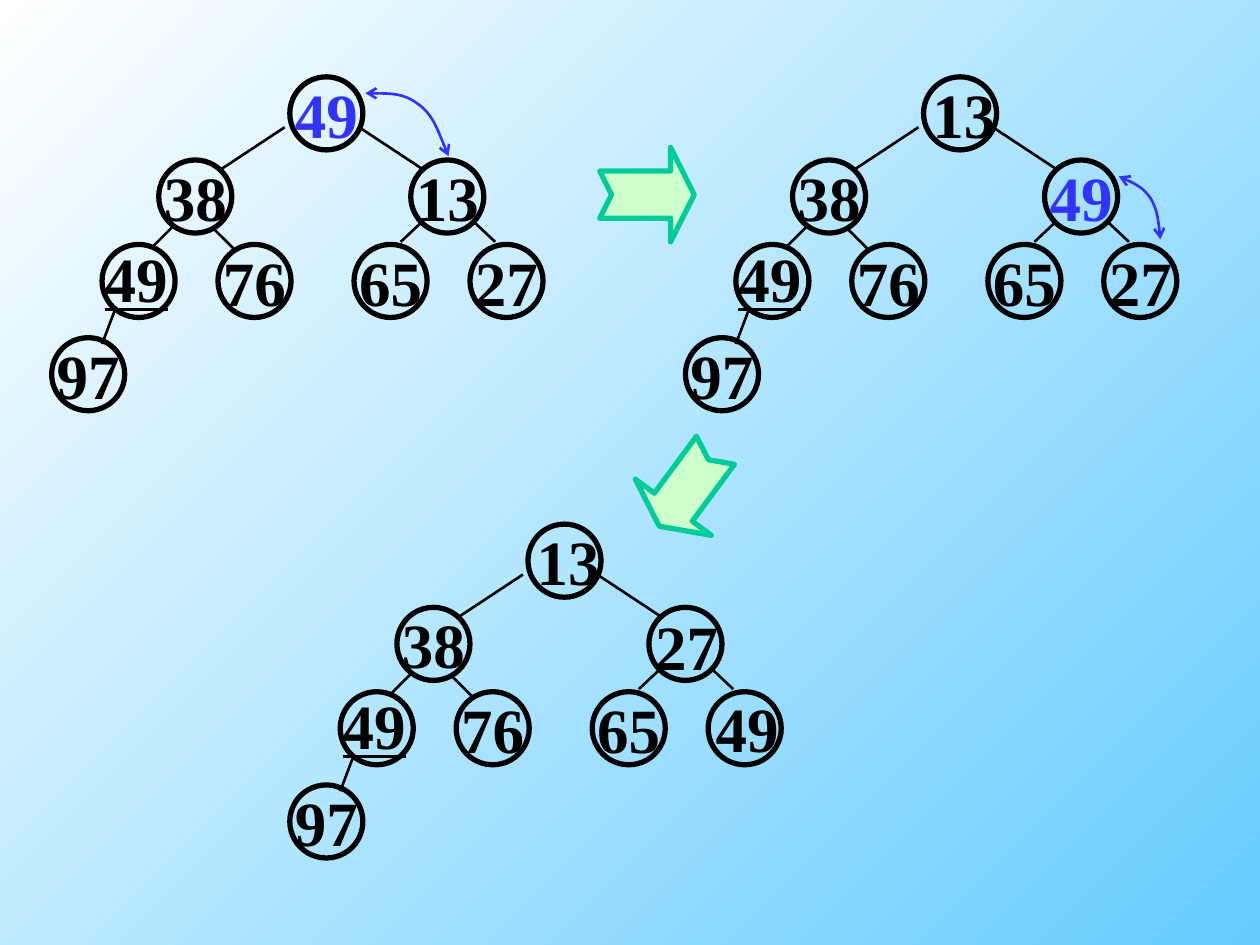
from lxml import etree
from pptx import Presentation
from pptx import util as u
from pptx.dml.color import RGBColor
from pptx.enum import shapes, text
from pptx.oxml.ns import qn

COLORS = {"ink": "000000", "swap": "3333FF", "sky": "66CCFF", "white": "FFFFFF",
          "mint": "CCFFCC", "green": "00CC99"}
FONT = "Times New Roman"

# The slide is a grid of 1000 columns by 750 rows
COLS, ROWS = 1000, 750
CELL = u.Inches(10) / COLS
NODE = 58          # circle diameter
LABEL = (50, 60)   # label box

# Heap nodes in level order, and the edges between them, from the tree's corner
NODES = [(189, 0), (85, 66), (285, 66), (40, 133), (132, 133), (240, 133), (332, 133), (0, 207)]
EDGES = [(185, 40, 135, 73), (244, 40, 294, 73), (127, 119, 144, 136), (335, 115, 352, 131),
         (96, 119, 79, 136), (294, 115, 277, 131), (51, 183, 40, 212)]
NUDGE = (4, -1)    # usual label offset from its circle


def grid(*cells):
    return [u.Emu(round(c * CELL)) for c in cells]


def rgb(name):
    return RGBColor.from_string(COLORS[name])


def set_line(sp, color, width):
    sp.line.color.rgb = rgb(color)
    sp.line.width = u.Pt(width)


def add_label(s, x, y, value, color, underline):
    tf = s.shapes.add_textbox(*grid(x, y, *LABEL)).text_frame
    tf.margin_left = tf.margin_right = tf.margin_top = tf.margin_bottom = 0
    tf.word_wrap = False
    tf.auto_size = text.MSO_AUTO_SIZE.SHAPE_TO_FIT_TEXT
    p = tf.paragraphs[0]
    p.alignment = text.PP_ALIGN.CENTER
    r = p.add_run()
    r.text = value
    r.font.name, r.font.size, r.font.bold = FONT, u.Pt(36), True
    r.font.underline = underline or None
    r.font.color.rgb = rgb(color)


def add_edge(s, x1, y1, x2, y2):
    line = s.shapes.add_connector(shapes.MSO_CONNECTOR.STRAIGHT, *grid(x1, y1, x2, y2))
    set_line(line, "ink", 1.5)
    etree.SubElement(line._element.spPr, qn("a:effectLst"))


def add_tree(s, left, top, values, moved=None, nudges=None):
    """Draw a heap; `moved` is the highlighted node, `nudges` holds unusual label offsets."""
    nudges = {3: (2, -4), **(nudges or {})}
    for i, ((dx, dy), value) in enumerate(zip(NODES, values)):
        x, y = left + dx, top + dy
        sp = s.shapes.add_shape(shapes.MSO_SHAPE.OVAL, *grid(x, y, NODE, NODE))
        sp.shadow.inherit = False
        sp.fill.background()
        set_line(sp, "ink", 3)
        nx, ny = nudges.get(i, NUDGE)
        add_label(s, x + nx, y + ny, value, "swap" if i == moved else "ink", i == 3)
    for x1, y1, x2, y2 in EDGES:
        add_edge(s, left + x1, top + y1, left + x2, top + y2)


def add_swap_curve(s, points):
    """Draw a double-headed curve: a start point, then three points per Bezier segment."""
    (x0, y0), end = points[0], points[-1]
    builder = s.shapes.build_freeform(x0, y0, scale=CELL)
    builder.add_line_segments([end], close=False)
    sp = builder.convert_to_shape()
    sp.shadow.inherit = False
    sp.fill.background()
    set_line(sp, "swap", 1.5)
    # Replace the straight segment by Bezier curves
    path = sp._element.find(".//" + qn("a:path"))
    path.remove(path.find(qn("a:lnTo")))
    for i in range(1, len(points), 3):
        curve = etree.SubElement(path, qn("a:cubicBezTo"))
        for x, y in points[i:i + 3]:
            etree.SubElement(curve, qn("a:pt"), x=str(x - x0), y=str(y - y0))
    # Arrowheads
    ln = sp.line._get_or_add_ln()
    for end_tag in ("a:headEnd", "a:tailEnd"):
        etree.SubElement(ln, qn(end_tag), type="arrow")


def add_step_arrow(s, x, y, size, rotation=0):
    sp = s.shapes.add_shape(shapes.MSO_SHAPE.NOTCHED_RIGHT_ARROW, *grid(x, y, size, size))
    sp.adjustments[0], sp.adjustments[1] = 0.5, 0.25
    sp.rotation = rotation
    sp.shadow.inherit = False
    sp.fill.solid()
    sp.fill.fore_color.rgb = rgb("mint")
    set_line(sp, "green", 3)


def set_background(s):
    fill = s.background.fill
    fill.gradient()
    fill.gradient_angle = 135
    for stop, name in zip(fill.gradient_stops, ("sky", "white")):
        stop.color.rgb = rgb(name)


def main():
    prs = Presentation()
    prs.slide_width, prs.slide_height = grid(COLS, ROWS)
    s = prs.slides.add_slide(prs.slide_layouts[6])
    set_background(s)

    # Root swaps with its smaller child
    add_tree(s, 41, 61, ["49", "38", "13", "49", "76", "65", "27", "97"], moved=0)
    add_swap_curve(s, [(290, 74), (305, 74), (320, 74), (331, 82),
                       (343, 90), (349, 107), (356, 124)])

    # The moved value sinks one more level
    add_tree(s, 544, 61, ["13", "38", "49", "49", "76", "65", "27", "97"], moved=2,
             nudges={0: (7, -1)})
    add_swap_curve(s, [(888, 140), (898, 144), (907, 149), (913, 157),
                       (918, 165), (920, 178), (921, 190)])

    # Restored heap
    add_tree(s, 230, 416, ["13", "38", "27", "49", "76", "65", "49", "97"],
             nudges={0: (7, -1), 2: (5, 0), 6: (6, -2)})

    # Arrows between the steps
    add_step_arrow(s, 476, 117, 75)
    add_step_arrow(s, 508, 350, 75, rotation=126.5)

    prs.save("out.pptx")


if __name__ == "__main__":
    main()
